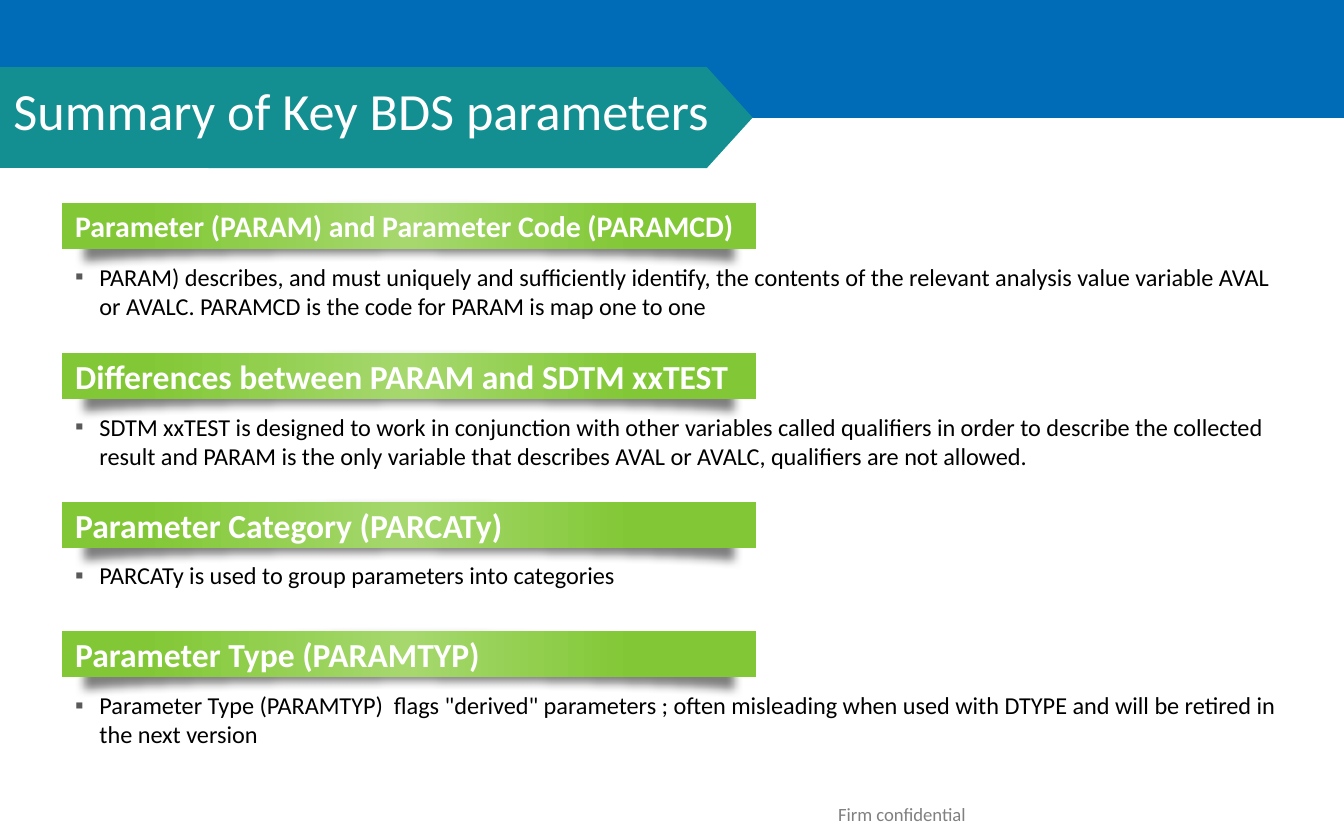
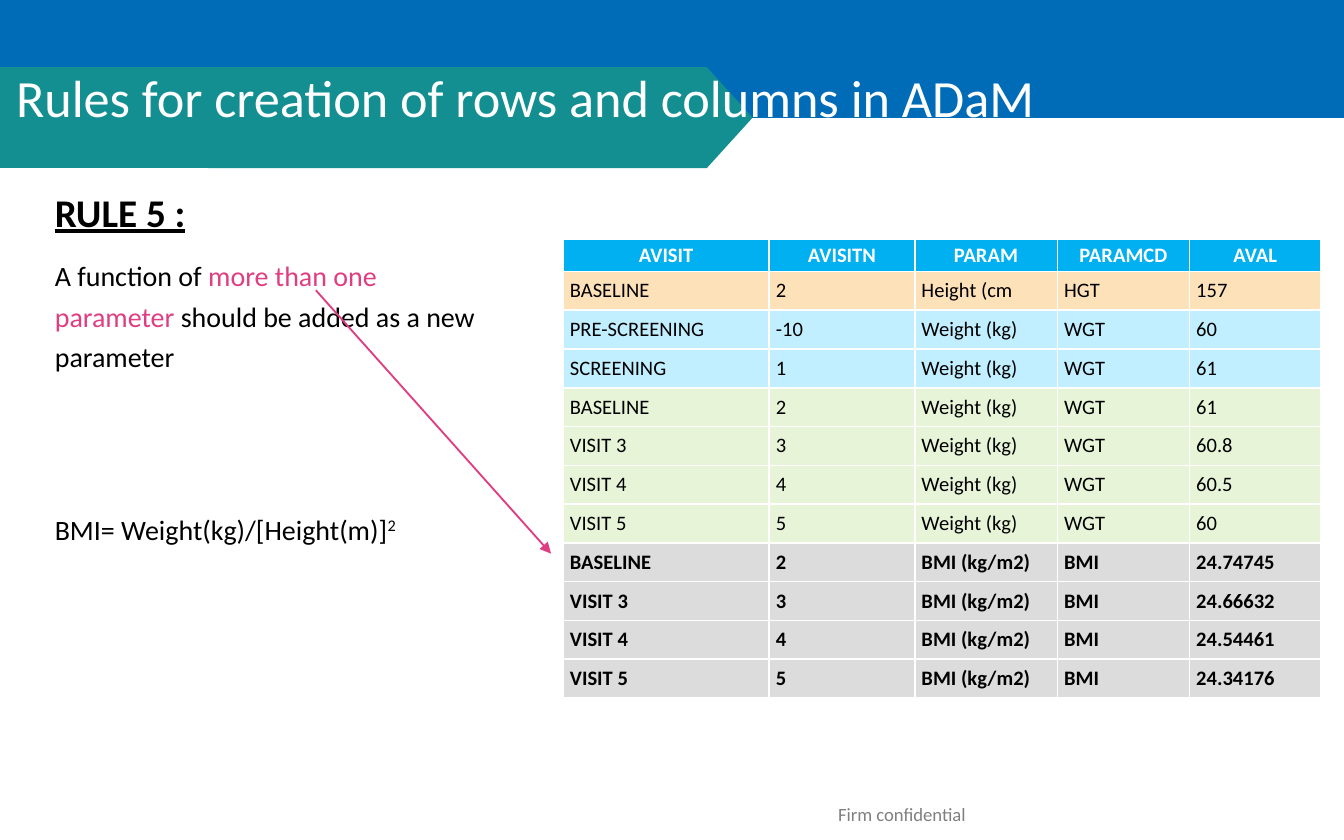
import pptx
import pptx.dml.color
import pptx.enum.shapes
import pptx.enum.text
import pptx.oxml
import pptx.oxml.ns
import pptx.util
import lxml.etree

Pt = pptx.util.Pt
SHAPE = pptx.enum.shapes.MSO_SHAPE
ALIGN = pptx.enum.text.PP_ALIGN
MIDDLE = pptx.enum.text.MSO_ANCHOR.MIDDLE
qn = pptx.oxml.ns.qn
DRAWING = 'xmlns:a="http://schemas.openxmlformats.org/drawingml/2006/main"'

FONT = "Calibri"
COLORS = {
    "blue": "006BB6", "teal": "138F91", "white": "FFFFFF", "black": "000000",
    "grey": "808080", "bullet": "595959", "green": "82C836", "light green": "A6D86E",
    "pink": "DF3E82", "header": "00B0F0", "height": "FDE1B9", "screening": "C1EFFF",
    "visit": "E7F4D8", "bmi": "DCDCDC",
}

# Content
FOOTER = "Firm confidential"
SUMMARY_TITLE = "Summary of Key BDS parameters"
# heading, heading size, bar top, text height, text
SECTIONS = [
    ("Parameter (PARAM) and Parameter Code (PARAMCD)", 16, 108.8, 39,
     "PARAM) describes, and must uniquely and sufficiently identify, the contents of the "
     "relevant analysis value variable AVAL or AVALC. PARAMCD is the code for PARAM is map "
     "one to one"),
    ("Differences between PARAM and SDTM xxTEST", 18, 189.2, 39,
     "SDTM xxTEST is designed to work in conjunction with other variables called qualifiers "
     "in order to describe the collected result and PARAM is the only variable that describes "
     "AVAL or AVALC, qualifiers are not allowed."),
    ("Parameter Category (PARCATy)", 18, 268.8, 23,
     "PARCATy is used to group parameters into categories"),
    ("Parameter Type (PARAMTYP)", 18, 338.2, 39,
     "Parameter Type (PARAMTYP)  flags \"derived\" parameters ; often misleading when used "
     "with DTYPE and will be retired in the next version"),
]

RULES_TITLE = "Rules for creation of rows and columns in ADaM"
RULE_HEADING = "RULE 5 :"
RULE_SPANS = [("A function of ", "black"), ("more than one parameter ", "pink"),
              ("should be added as a new parameter", "black")]
FORMULA, EXPONENT = "BMI= Weight(kg)/[Height(m)]", "2"
COLUMNS = [("AVISIT", 110.4), ("AVISITN", 78), ("PARAM", 76.4),
           ("PARAMCD", 70.8), ("AVAL", 70.4)]
# row group: fill, parameter, code, then visit, visit number and value of each row
GROUPS = [
    ("height", "Height (cm", "HGT", [("BASELINE", "2", "157")]),
    ("screening", "Weight (kg)", "WGT",
     [("PRE-SCREENING", "-10", "60"), ("SCREENING", "1", "61")]),
    ("visit", "Weight (kg)", "WGT",
     [("BASELINE", "2", "61"), ("VISIT 3", "3", "60.8"),
      ("VISIT 4", "4", "60.5"), ("VISIT 5", "5", "60")]),
    ("bmi", "BMI (kg/m2)", "BMI",
     [("BASELINE", "2", "24.74745"), ("VISIT 3", "3", "24.66632"),
      ("VISIT 4", "4", "24.54461"), ("VISIT 5", "5", "24.34176")]),
]


def rgb(name):
    return pptx.dml.color.RGBColor.from_string(COLORS[name])


def add_span(para, text, size, color="black", bold=False):
    span = para.add_run()
    span.text = text
    font = span.font
    font.name, font.size, font.bold = FONT, Pt(size), bold
    font.color.rgb = rgb(color)
    return span


def paint(shape, color):
    shape.shadow.inherit = False
    shape.fill.solid()
    shape.fill.fore_color.rgb = rgb(color)
    shape.line.fill.background()


def add_block(page, kind, color, left, top, width, height):
    shape = page.shapes.add_shape(kind, Pt(left), Pt(top), Pt(width), Pt(height))
    paint(shape, color)
    return shape


def add_text_box(page, left, top, width, height):
    box = page.shapes.add_textbox(Pt(left), Pt(top), Pt(width), Pt(height))
    box.text_frame.word_wrap = True
    return box


def add_bands(page, layout):
    """Draw the header bands and hand them to the layout, behind the title."""
    top_band = add_block(page, SHAPE.RECTANGLE, "blue", 0, 0, 720, 63.2)
    title_band = add_block(page, SHAPE.RECTANGLE, "teal", 0, 36, 177, 54)
    outline = page.shapes.build_freeform(Pt(111.6), Pt(36))
    outline.add_line_segments([(Pt(x), Pt(y)) for x, y in
                               [(378.7, 36), (403.2, 63), (378.7, 90), (111.6, 90)]])
    arrow_band = outline.convert_to_shape()
    paint(arrow_band, "teal")
    for place, band in enumerate([top_band, title_band, arrow_band], start=2):
        layout.shapes._spTree.insert(place, band._element)


def add_title(page, text, left, top):
    title = page.shapes.title
    title.left, title.top, title.width, title.height = Pt(left), Pt(top), Pt(670), Pt(42.5)
    title.text_frame.vertical_anchor = MIDDLE
    para = title.text_frame.paragraphs[0]
    para.alignment = ALIGN.LEFT
    add_span(para, text, 28, "white")


def add_footer(page):
    frame = add_text_box(page, 372.2, 427.7, 221.8, 16.6).text_frame
    frame.word_wrap = False
    frame.vertical_anchor = MIDDLE
    para = frame.paragraphs[0]
    para.alignment = ALIGN.CENTER
    add_span(para, FOOTER, 10, "grey")


def add_bar(page, heading, size, top):
    # Soft curved shadow below the bar
    shadow = add_block(page, SHAPE.FLOWCHART_STORED_DATA, "grey", 199.4, top - 160.6, 39.6, 357.1)
    shadow.rotation = 90
    effects = shadow._element.spPr.find(qn("a:effectLst"))
    lxml.etree.SubElement(effects, qn("a:softEdge"), rad="63500")

    # Bar with a lighter middle
    bar = add_block(page, SHAPE.RECTANGLE, "green", 33.2, top, 372, 24.6)
    stops = "".join(f'<a:gs pos="{pos}000"><a:srgbClr val="{COLORS[color]}"/></a:gs>'
                    for pos, color in [(18, "green"), (50, "light green"), (88, "green")])
    gradient = pptx.oxml.parse_xml(f'<a:gradFill {DRAWING} rotWithShape="1"><a:gsLst>{stops}'
                                   '</a:gsLst><a:lin ang="10800000" scaled="0"/></a:gradFill>')
    properties = bar._element.spPr
    properties.replace(properties.find(qn("a:solidFill")), gradient)
    bar.text_frame.vertical_anchor = MIDDLE
    para = bar.text_frame.paragraphs[0]
    para.alignment = ALIGN.LEFT
    add_span(para, heading, size, "white", bold=True)


def add_bullet(page, text, top, height):
    para = add_text_box(page, 33.2, top, 666, height).text_frame.paragraphs[0]
    properties = para._p.get_or_add_pPr()
    properties.set("marL", str(Pt(13)))
    properties.set("indent", str(-Pt(13)))
    color = lxml.etree.SubElement(properties, qn("a:buClr"))
    lxml.etree.SubElement(color, qn("a:srgbClr"), val=COLORS["bullet"])
    lxml.etree.SubElement(properties, qn("a:buFont"), typeface="Arial")
    lxml.etree.SubElement(properties, qn("a:buChar"), char="▪")
    add_span(para, text, 13)


def add_rule(page):
    frame = add_text_box(page, 22.3, 92.2, 252.5, 243.4).text_frame
    heading = frame.paragraphs[0]
    add_span(heading, RULE_HEADING, 21, bold=True).font.underline = True
    rule = frame.add_paragraph()
    for text, color in RULE_SPANS:
        add_span(rule, text, 15, color)
    formula = frame.add_paragraph()
    formula.space_before = Pt(62)
    add_span(formula, FORMULA, 15)
    add_span(formula, EXPONENT, 15).font._element.set("baseline", "30000")
    for para in frame.paragraphs:
        para.line_spacing = 1.2
        para.space_after = Pt(9)


def add_arrow(page):
    arrow = page.shapes.add_connector(pptx.enum.shapes.MSO_CONNECTOR.STRAIGHT,
                                      Pt(169.2), Pt(155.5), Pt(295.2), Pt(296.6))
    arrow.line.color.rgb = rgb("pink")
    arrow.line.width = Pt(1)
    lxml.etree.SubElement(arrow.line._get_or_add_ln(), qn("a:tailEnd"), type="triangle")
    lxml.etree.SubElement(arrow._element.spPr, qn("a:effectLst"))


def fill_cell(cell, text, fill, color, bold, align, inset):
    cell.margin_left = cell.margin_right = cell.margin_top = cell.margin_bottom = Pt(inset)
    cell.vertical_anchor = MIDDLE
    para = cell.text_frame.paragraphs[0]
    para.alignment = align
    add_span(para, text, 11, color, bold)
    properties = cell._tc.get_or_add_tcPr()
    for side in ("lnL", "lnR", "lnT", "lnB"):
        border = lxml.etree.SubElement(properties, qn("a:" + side), w=str(Pt(1)))
        solid = lxml.etree.SubElement(border, qn("a:solidFill"))
        lxml.etree.SubElement(solid, qn("a:srgbClr"), val=COLORS["white"])
    cell.fill.solid()
    cell.fill.fore_color.rgb = rgb(fill)


def add_visit_table(page):
    rows = [(fill, (visit, number, param, code, value))
            for fill, param, code, visits in GROUPS for visit, number, value in visits]
    header_height, row_height = 17.4, 20.8
    width = sum(size for _, size in COLUMNS)
    frame = page.shapes.add_table(len(rows) + 1, len(COLUMNS), Pt(301.7), Pt(128), Pt(width),
                                  Pt(header_height + row_height * len(rows)))
    table = frame.table
    table.horz_banding = False
    for index, (name, size) in enumerate(COLUMNS):
        table.columns[index].width = Pt(size)
        fill_cell(table.cell(0, index), name, "header", "white", True, ALIGN.CENTER, 0.7)
    table.rows[0].height = Pt(header_height)
    for line, (fill, values) in enumerate(rows, start=1):
        table.rows[line].height = Pt(row_height)
        for index, value in enumerate(values):
            fill_cell(table.cell(line, index), value, fill, "black",
                      fill == "bmi", ALIGN.LEFT, 3.6)


def main():
    deck = pptx.Presentation()
    deck.slide_width, deck.slide_height = Pt(720), Pt(450)
    layout = deck.slide_layouts[5]

    # Summary of parameters
    summary = deck.slides.add_slide(layout)
    add_bands(summary, layout)
    add_title(summary, SUMMARY_TITLE, 0, 37.4)
    for heading, size, top, height, text in SECTIONS:
        add_bar(summary, heading, size, top)
        add_bullet(summary, text, top + 28, height)
    add_footer(summary)

    # Rule with its example table
    rules = deck.slides.add_slide(layout)
    add_title(rules, RULES_TITLE, 1.4, 30.3)
    add_rule(rules)
    add_arrow(rules)
    add_visit_table(rules)
    add_footer(rules)

    deck.save("out.pptx")


if __name__ == "__main__":
    main()
